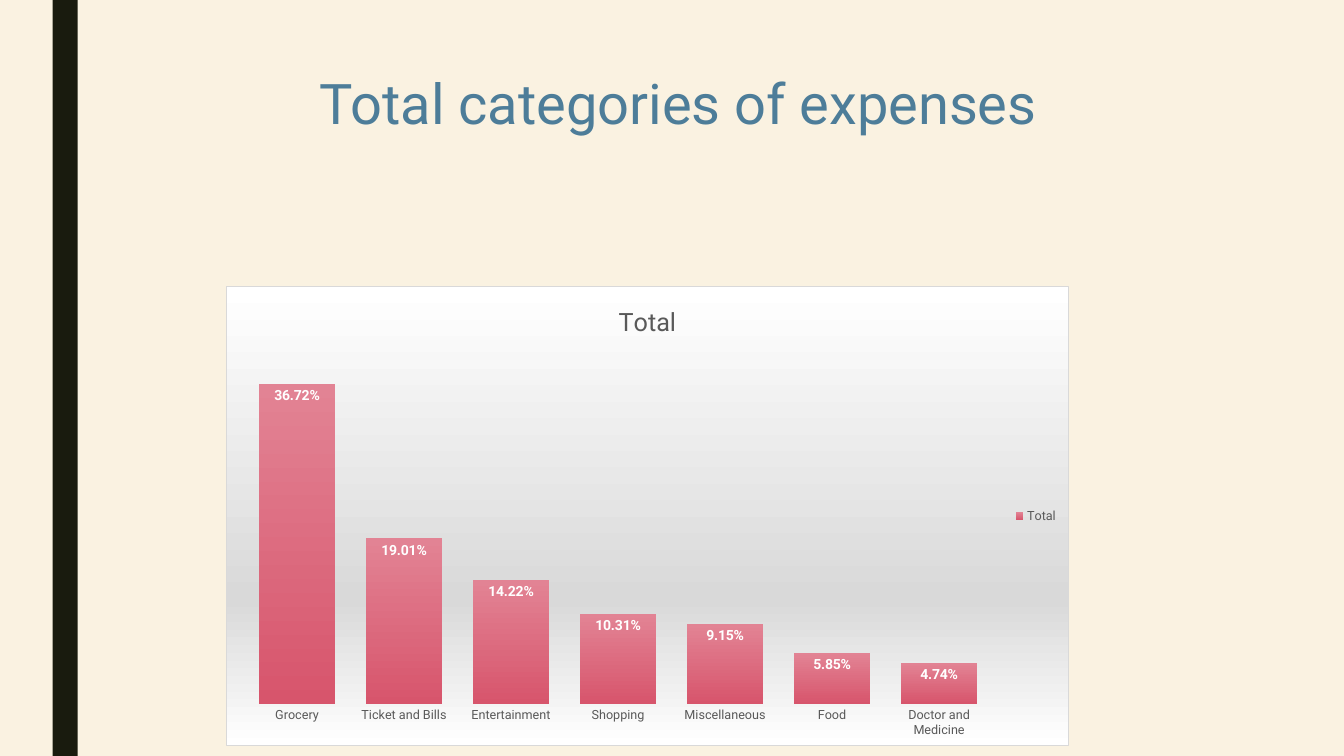
"""Build the slide on total categories of expenses."""
from dataclasses import dataclass

import pptx
import pptx.chart.data
import pptx.dml.color
import pptx.enum.chart
import pptx.enum.shapes
import pptx.enum.text
import pptx.oxml
import pptx.oxml.ns
import pptx.util

Pt = pptx.util.Pt
FONT = "Roboto"
GREY = "595959"


@dataclass
class Spend:
    name: str
    share: float


@dataclass
class Stop:
    at: int
    tint: str


SPENDS = [
    Spend("Grocery", 0.3672),
    Spend("Ticket and Bills", 0.1901),
    Spend("Entertainment", 0.1422),
    Spend("Shopping", 0.1031),
    Spend("Miscellaneous", 0.0915),
    Spend("Food", 0.0585),
    Spend("Doctor and Medicine", 0.0474),
]
PANEL = [Stop(0, "FFFFFF"), Stop(68, "D9D9D9"), Stop(100, "FFFFFF")]
COLUMN = [Stop(0, "E28394"), Stop(100, "D7556C")]


def color(tint: str) -> pptx.dml.color.RGBColor:
    return pptx.dml.color.RGBColor.from_string(tint)


def style(font, size: float, tint: str, bold: bool = False) -> None:
    font.name, font.size, font.bold = FONT, Pt(size), bold
    font.color.rgb = color(tint)


def fade(stops: list[Stop]) -> str:
    marks = "".join(
        f'<a:gs pos="{stop.at * 1000}"><a:srgbClr val="{stop.tint}"/></a:gs>'
        for stop in stops
    )
    space = pptx.oxml.ns.nsdecls("a")
    return (f"<a:gradFill {space}><a:gsLst>{marks}</a:gsLst>"
            '<a:lin ang="5400000" scaled="0"/></a:gradFill>')


def add_band(slide) -> None:
    band = slide.shapes.add_shape(
        pptx.enum.shapes.MSO_SHAPE.RECTANGLE, Pt(37.5), Pt(0), Pt(18), Pt(540))
    band.shadow.inherit = False
    band.fill.solid()
    band.fill.fore_color.rgb = color("191B0E")
    band.line.fill.background()


def set_title(slide) -> None:
    title = slide.shapes.title
    title.left, title.top = Pt(106.5), Pt(51)
    title.width, title.height = Pt(756), Pt(116.5)
    frame = title.text_frame
    frame.text = "Total categories of expenses"
    frame.word_wrap = True
    frame.auto_size = pptx.enum.text.MSO_AUTO_SIZE.NONE
    frame.vertical_anchor = pptx.enum.text.MSO_ANCHOR.TOP
    line = frame.paragraphs[0]
    line.alignment = pptx.enum.text.PP_ALIGN.CENTER
    line.line_spacing = 0.89
    style(line.font, 40, "4D7D99")


def add_chart(slide) -> None:
    kinds = pptx.enum.chart
    data = pptx.chart.data.CategoryChartData(number_format="0.00%")
    data.categories = [spend.name for spend in SPENDS]
    data.add_series("Total", [spend.share for spend in SPENDS])
    chart = slide.shapes.add_chart(
        kinds.XL_CHART_TYPE.COLUMN_CLUSTERED,
        Pt(161.5), Pt(204.5), Pt(602), Pt(328.5), data).chart
    style(chart.font, 10, "000000")

    chart.has_title = True
    head = chart.chart_title.text_frame
    head.text = "Total"
    style(head.paragraphs[0].font, 18, GREY)

    chart.has_legend = True
    chart.legend.position = kinds.XL_LEGEND_POSITION.RIGHT
    chart.legend.include_in_layout = False
    style(chart.legend.font, 9, GREY)

    names = chart.category_axis
    names.major_tick_mark = kinds.XL_TICK_MARK.NONE
    names.format.line.fill.background()
    style(names.tick_labels.font, 9, GREY)
    scale = chart.value_axis
    scale.minimum_scale, scale.maximum_scale = 0, 0.4
    scale.has_major_gridlines = False
    scale.visible = False

    plot = chart.plots[0]
    plot.gap_width = 41
    plot.vary_by_categories = False
    plot.has_data_labels = True
    labels = plot.data_labels
    labels.show_value = True
    labels.number_format = "0.00%"
    labels.number_format_is_linked = False
    labels.position = kinds.XL_LABEL_POSITION.INSIDE_END
    style(labels.font, 10, "FFFFFF", True)
    paint(chart)


def paint(chart) -> None:
    parse = pptx.oxml.parse_xml
    series = chart.plots[0].series[0]
    series._element.get_or_add_spPr().append(parse(fade(COLUMN)))
    root = chart._chartSpace
    space = pptx.oxml.ns.nsdecls("c", "a")
    root.chart.addnext(parse(
        f'<c:spPr {space}>{fade(PANEL)}<a:ln w="9525"><a:solidFill>'
        '<a:srgbClr val="D9D9D9"/></a:solidFill></a:ln></c:spPr>'))
    area = root.chart.plotArea
    for old in area.findall(pptx.oxml.ns.qn("c:layout")):
        area.remove(old)
    box = {"x": 0.02, "y": 0.15, "w": 0.89, "h": 0.76}
    sides = "".join(f'<c:{key} val="{part}"/>' for key, part in box.items())
    area.insert(0, parse(
        f'<c:layout {space}><c:manualLayout><c:layoutTarget val="inner"/>'
        '<c:xMode val="edge"/><c:yMode val="edge"/>'
        f"{sides}</c:manualLayout></c:layout>"))


def main() -> None:
    deck = pptx.Presentation()
    deck.slide_width, deck.slide_height = Pt(960), Pt(540)
    slide = deck.slides.add_slide(deck.slide_layouts[5])
    slide.background.fill.solid()
    slide.background.fill.fore_color.rgb = color("FAF2E1")
    add_band(slide)
    set_title(slide)
    add_chart(slide)
    deck.save("out.pptx")


if __name__ == "__main__":
    main()
